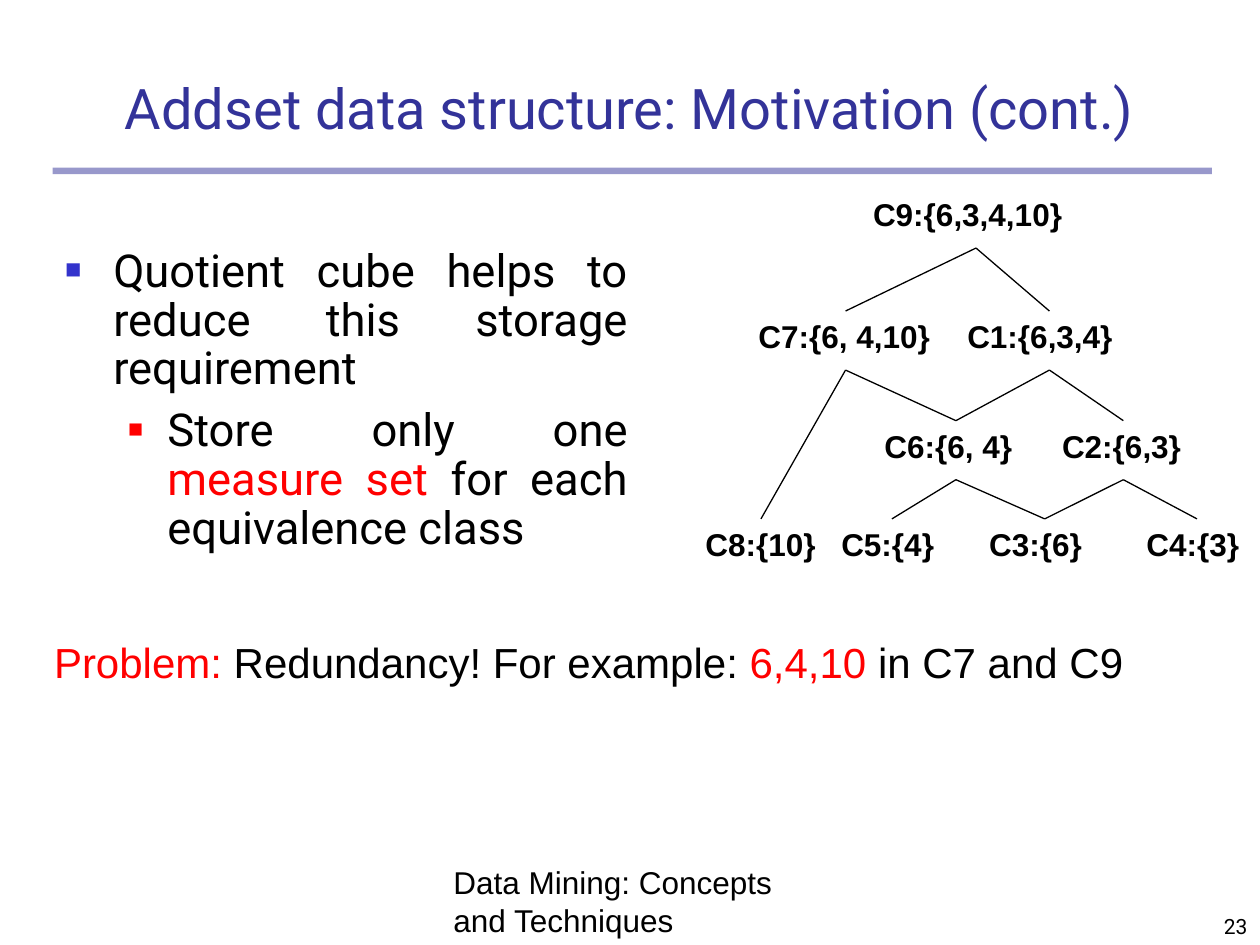
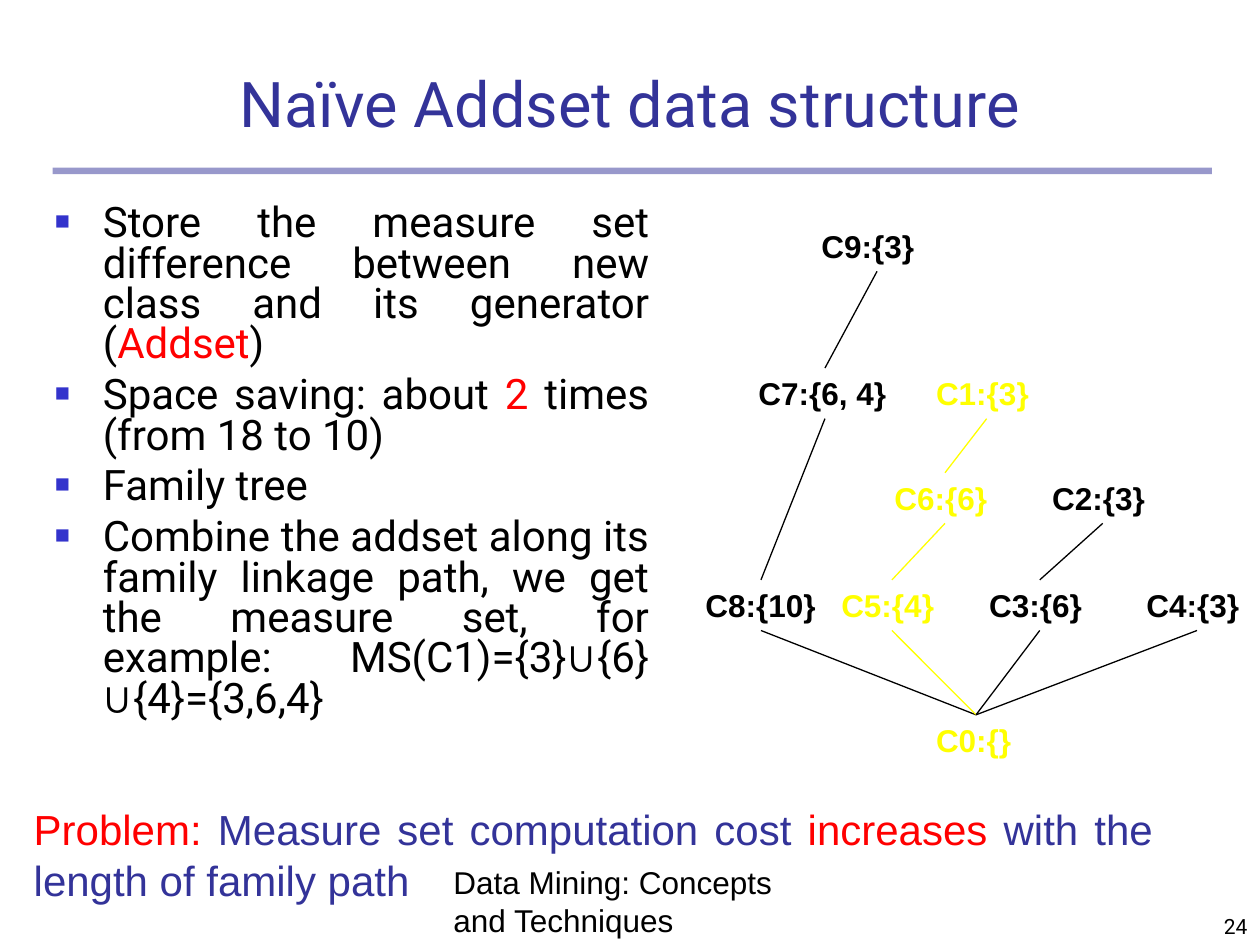
import pptx
import pptx.dml.color
import pptx.enum.shapes
import pptx.enum.text
import pptx.oxml.ns
import pptx.util
from lxml import etree
from pptx.util import Cm

ALIGN = pptx.enum.text.PP_ALIGN
ANCHOR = pptx.enum.text.MSO_ANCHOR

NAVY, BLUE, RED, YELLOW, BLACK = "333399", "3333CC", "FF0000", "FFFF00", "000000"
HEADING_FONT, LABEL_FONT = "Roboto", "Arial"
TITLE_BOX = (1.06, 1.06, 23.28, 1.9)
RULE_BOX = (1.06, 3.38, 23.37, 0.13)
FOOTER_BOX = (8.89, 17.58, 8.05, 1.47)
NUMBER_BOX = (20.12, 17.78, 5.28, 1.27)

# Per list level: left margin, hanging indent, bullet colour, bullet size in percent
BULLET_LEVELS = [(0.97, -0.97, BLUE, 60), (2.06, -0.79, RED, 55)]


def rgb(hex_colour):
    return pptx.dml.color.RGBColor.from_string(hex_colour)


def add_xml(parent, tag, **attributes):
    """Append an element such as "a:buChar" and return it."""
    return etree.SubElement(parent, pptx.oxml.ns.qn(tag), attributes)


def place(shape, box):
    shape.left, shape.top, shape.width, shape.height = map(Cm, box)


def add_runs(paragraph, runs, size, font, bold=False):
    """Add (text, colour) runs; a third item overrides the font."""
    for text, colour, *own_font in runs:
        run = paragraph.add_run()
        run.text = text
        run.font.size = pptx.util.Pt(size)
        run.font.name = own_font[0] if own_font else font
        run.font.bold = bold
        run.font.color.rgb = rgb(colour)


def prepare_frame(shape, anchor):
    frame = shape.text_frame
    frame.word_wrap = True
    frame.auto_size = pptx.enum.text.MSO_AUTO_SIZE.NONE
    frame.vertical_anchor = anchor
    return frame


def add_text(shapes, box, runs, size, font=LABEL_FONT, bold=False,
             align=ALIGN.LEFT, anchor=ANCHOR.TOP):
    label = shapes.add_textbox(*map(Cm, box))
    paragraph = prepare_frame(label, anchor).paragraphs[0]
    paragraph.alignment = align
    add_runs(paragraph, runs, size, font, bold)
    return label


def add_title_rule(slide):
    """Draw the band below the title and hand it to the layout."""
    rule = slide.shapes.add_shape(pptx.enum.shapes.MSO_SHAPE.RECTANGLE,
                                  *map(Cm, RULE_BOX))
    rule.shadow.inherit = False
    rule.line.fill.background()
    rule.fill.solid()
    rule.fill.fore_color.rgb = rgb(NAVY)
    colour = rule.element.find(".//" + pptx.oxml.ns.qn("a:srgbClr"))
    add_xml(colour, "a:alpha", val="50000")
    slide.slide_layout.shapes.element.append(rule.element)


def start_slide(deck, title, title_size, number):
    slide = deck.slides.add_slide(deck.slide_layouts[1])
    heading = slide.shapes.title
    place(heading, TITLE_BOX)
    paragraph = prepare_frame(heading, ANCHOR.BOTTOM).paragraphs[0]
    paragraph.alignment = ALIGN.CENTER
    add_runs(paragraph, [(title, NAVY)], title_size, HEADING_FONT)
    add_text(slide.shapes, FOOTER_BOX,
             [("Data Mining: Concepts and Techniques", BLACK)], 18,
             anchor=ANCHOR.BOTTOM)
    add_text(slide.shapes, NUMBER_BOX, [(str(number), BLACK)], 12, HEADING_FONT,
             align=ALIGN.RIGHT, anchor=ANCHOR.BOTTOM)
    return slide


def fill_points(slide, box, points, size, line_spacing, gap):
    """Write (level, runs) points into the body placeholder."""
    body = slide.placeholders[1]
    place(body, box)
    frame = prepare_frame(body, ANCHOR.TOP)
    for index, (level, runs) in enumerate(points):
        paragraph = frame.add_paragraph() if index else frame.paragraphs[0]
        margin, indent, colour, bullet_size = BULLET_LEVELS[level]
        properties = paragraph._p.get_or_add_pPr()
        properties.set("marL", str(Cm(margin)))
        properties.set("indent", str(Cm(indent)))
        add_xml(add_xml(properties, "a:buClr"), "a:srgbClr", val=colour)
        add_xml(properties, "a:buSzPct", val=str(bullet_size * 1000))
        add_xml(properties, "a:buFont", typeface=LABEL_FONT)
        add_xml(properties, "a:buChar", char="■")
        paragraph.level = level
        paragraph.alignment = ALIGN.JUSTIFY
        paragraph.line_spacing = line_spacing
        paragraph.space_before = pptx.util.Pt(gap if index else 0)
        add_runs(paragraph, runs, size, HEADING_FONT)


def add_class_lattice(slide, box, rows, links, highlighted=""):
    """Draw classes row by row and link each parent to its children.

    box is left, top and class height; rows maps a row's top to its classes,
    each a name, measure set, left and width.
    """
    left, top, height = box
    lattice = slide.shapes.add_group_shape().shapes
    marked = highlighted.split()
    classes = {}
    for row_top, row in rows.items():
        for name, measures, class_left, width in row:
            colour = YELLOW if name in marked else BLACK
            classes[name] = add_text(
                lattice, (left + class_left, top + row_top, width, height),
                [(f"{name}:{{{measures}}}", colour)], 18, bold=True)
    for parent, children in links.items():
        for child in children.split():
            start, end = classes[parent], classes[child]
            link = lattice.add_connector(
                pptx.enum.shapes.MSO_CONNECTOR.STRAIGHT,
                start.left, start.top, end.left, end.top)
            link.begin_connect(start, 2)
            link.end_connect(end, 0)
            on_path = parent in marked and child in marked
            link.line.color.rgb = rgb(YELLOW if on_path else BLACK)
            link.line.width = pptx.util.Pt(0.75)
            add_xml(link.element.spPr, "a:effectLst")


def build_motivation(deck):
    slide = start_slide(deck, "Addset data structure: Motivation (cont.)", 32, 23)
    add_title_rule(slide)
    fill_points(slide, (1.06, 4.87, 11.85, 7.2), [
        (0, [("Quotient cube helps to reduce this storage requirement", BLACK)]),
        (1, [("Store only one ", BLACK), ("measure set", RED),
             (" for each equivalence class", BLACK)]),
    ], size=25.9, line_spacing=0.9, gap=7)
    add_class_lattice(slide, (13.97, 3.81, 1.19), {
        0: [("C9", "6,3,4,10", 3.38, 4.65)],
        2.46: [("C7", "6, 4,10", 1.07, 4.01), ("C1", "6,3,4", 5.28, 3.81)],
        4.67: [("C6", "6, 4", 3.61, 3.38), ("C2", "6,3", 7.19, 2.97)],
        6.65: [("C8", "10", 0, 2.74), ("C5", "4", 2.74, 2.54),
               ("C3", "6", 5.72, 2.74), ("C4", "3", 8.89, 2.54)],
    }, {"C9": "C7 C1", "C7": "C8 C6", "C1": "C6 C2", "C6": "C5 C3", "C2": "C3 C4"})
    add_text(slide.shapes, (0.84, 12.7, 23.06, 1.27), [
        ("Problem: ", RED), ("Redundancy! For example:", BLACK),
        (" 6,4,10", RED), (" in C7 and C9", BLACK)], 24)


def build_naive_addset(deck):
    slide = start_slide(deck, "Naïve Addset data structure", 36, 24)
    fill_points(slide, (0.85, 4.02, 12.49, 11.85), [
        (0, [("Store the measure set difference between new class and its "
              "generator (", BLACK), ("Addset", RED), (")", BLACK)]),
        (0, [("Space saving: about ", BLACK), ("2", RED),
             (" times (from 18 to 10)", BLACK)]),
        (0, [("Family tree", BLACK)]),
        (0, [("Combine the addset along its family linkage path, we get the "
              "measure set, for example: MS(C1)={3}", BLACK),
             ("∪", BLACK, LABEL_FONT), ("{6}", BLACK),
             ("∪", BLACK, LABEL_FONT), ("{4}={3,6,4}", BLACK)]),
    ], size=24, line_spacing=0.8, gap=6)
    add_class_lattice(slide, (13.97, 4.45, 1.02), {
        0: [("C9", "3", 2.34, 2.74)],
        2.97: [("C7", "6, 4", 1.07, 3.18), ("C1", "3", 4.65, 2.54)],
        5.08: [("C6", "6", 3.81, 2.54), ("C2", "3", 6.99, 2.54)],
        7.24: [("C8", "10", 0, 2.74), ("C5", "4", 2.74, 2.54),
               ("C3", "6", 5.72, 2.54), ("C4", "3", 8.89, 2.54)],
        9.96: [("C0", "", 4.65, 2.11)],
    }, {"C9": "C7", "C7": "C8", "C1": "C6", "C6": "C5", "C2": "C3",
        "C8": "C0", "C5": "C0", "C3": "C0", "C4": "C0"},
        highlighted="C1 C6 C5 C0")
    add_text(slide.shapes, (0.43, 16.08, 23.06, 2.29), [
        ("Problem: ", RED), ("Measure set computation cost ", NAVY),
        ("increases", RED), (" with the length of family path", NAVY)], 24,
        align=ALIGN.JUSTIFY)


def main():
    deck = pptx.Presentation()
    deck.slide_width, deck.slide_height = Cm(25.4), Cm(19.05)
    build_motivation(deck)
    build_naive_addset(deck)
    deck.save("out.pptx")


if __name__ == "__main__":
    main()
